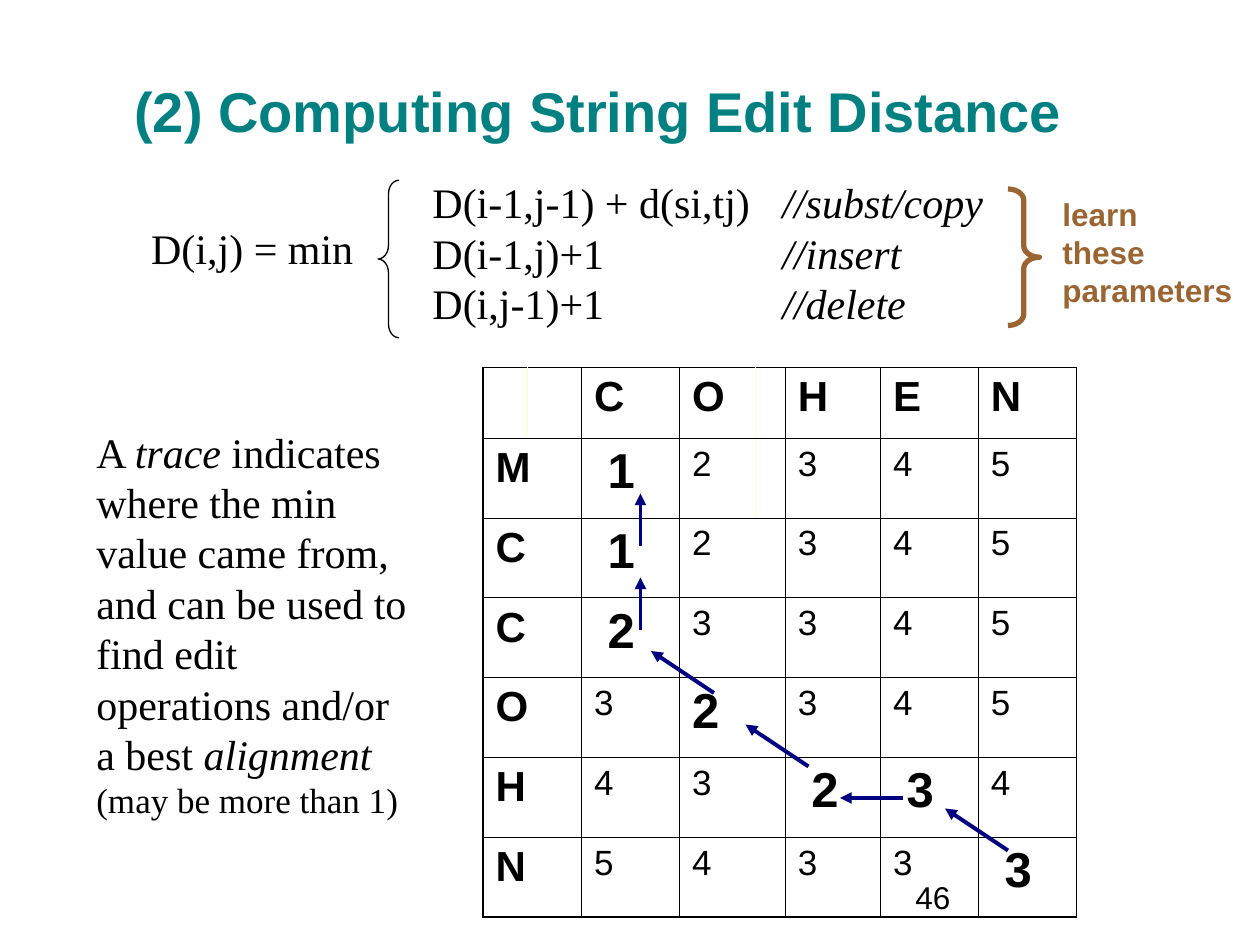
from dataclasses import dataclass

from lxml import etree
from pptx import Presentation
from pptx.dml.color import RGBColor
from pptx.enum.shapes import MSO_CONNECTOR, MSO_SHAPE
from pptx.enum.text import MSO_ANCHOR, PP_ALIGN
from pptx.oxml.ns import qn
from pptx.util import Pt

LEFT, CENTER, RIGHT = PP_ALIGN.LEFT, PP_ALIGN.CENTER, PP_ALIGN.RIGHT
TOP, MIDDLE = MSO_ANCHOR.TOP, MSO_ANCHOR.MIDDLE
STRAIGHT = MSO_CONNECTOR.STRAIGHT
LEFT_BRACE, RIGHT_BRACE = MSO_SHAPE.LEFT_BRACE, MSO_SHAPE.RIGHT_BRACE
SANS, SERIF = "Arial", "Times New Roman"
COLORS = {
    "title": "008080",
    "text": "000000",
    "note": "996633",
    "arrow": "000080",
    "faint": "FFFFCC",
}


@dataclass
class Run:
    text: str
    italic: bool = False
    size: float | None = None


@dataclass
class Brace:
    kind: int
    box: tuple[float, float, float, float]
    curve: float
    color: str
    weight: float


@dataclass
class Arrow:
    start: tuple[float, float]
    end: tuple[float, float]


BRACES = [
    Brace(LEFT_BRACE, (216, 103, 12, 90), 0.65, "text", 0.75),
    Brace(RIGHT_BRACE, (576, 108, 18, 78), 0.36, "note", 3),
]
TRACE_ARROWS = [
    Arrow((576, 486), (540, 462)),
    Arrow((516, 456), (480, 456)),
    Arrow((462, 438), (426, 414)),
    Arrow((408, 396), (372, 372)),
    Arrow((366, 360), (366, 330)),
    Arrow((366, 312), (366, 282)),
]
FORMULA = [
    [Run("D(i-1,j-1) + d(si,tj)\t"), Run("//subst/copy", italic=True)],
    [Run("D(i-1,j)+1\t"), Run("//insert", italic=True)],
    [Run("D(i,j-1)+1\t"), Run("//delete", italic=True)],
]
EXPLANATION = [[
    Run("A "),
    Run("trace ", italic=True),
    Run("indicates where the min value came from, and can be used to "
        "find edit operations and/or a best "),
    Run("alignment ", italic=True),
    Run("(may be more than 1)", size=20),
]]

# Distance grid: first row and column hold the letters
GRID = [" COHEN", "M12345", "C12345", "C23345", "O32345", "H43234", "N54333"]
TRACE = {(1, 1), (2, 1), (3, 1), (4, 2), (5, 3), (5, 4), (6, 5)}
INDENTED = TRACE - {(4, 2)}
COLUMN_WIDTHS = [25.5, 30.8, 56, 43.2, 17.2, 54.4, 56, 56]
GRID_COLUMNS = [0, 2, 3, 5, 6, 7]  # table column of each grid column
SPLIT_ROWS = {0: {0}, 3: {0, 1}}  # rows where a column pair stays unmerged
HEADER_HEIGHT, ROW_HEIGHT = 40.4, 45.6


def rgb(name: str) -> RGBColor:
    return RGBColor.from_string(COLORS[name])


def write_text(frame, paragraphs, *, size=24, font=SERIF, color="text",
               bold=False, align=LEFT, anchor=TOP, wrap=True, tab=None):
    """Fill a text frame with paragraphs, each a string or a list of runs."""
    frame.word_wrap = wrap
    frame.vertical_anchor = anchor
    frame.margin_left = frame.margin_right = Pt(7.2)
    frame.margin_top = frame.margin_bottom = Pt(3.6)
    for index, content in enumerate(paragraphs):
        paragraph = frame.paragraphs[0] if index == 0 else frame.add_paragraph()
        paragraph.alignment = align
        if tab:
            tabs = etree.SubElement(paragraph._p.get_or_add_pPr(), qn("a:tabLst"))
            etree.SubElement(tabs, qn("a:tab"), pos=str(Pt(tab)), algn="l")
        for part in [Run(content)] if isinstance(content, str) else content:
            run = paragraph.add_run()
            run.text = part.text
            run.font.name = font
            run.font.size = Pt(part.size or size)
            run.font.bold = bold
            run.font.italic = part.italic
            run.font.color.rgb = rgb(color)


def add_text(slide, box, paragraphs, **text_format):
    shape = slide.shapes.add_textbox(*map(Pt, box))
    write_text(shape.text_frame, paragraphs, **text_format)


def add_brace(slide, brace: Brace):
    shape = slide.shapes.add_shape(brace.kind, *map(Pt, brace.box))
    shape.shadow.inherit = False
    shape.adjustments[0] = brace.curve
    shape.fill.background()
    shape.line.color.rgb = rgb(brace.color)
    shape.line.width = Pt(brace.weight)


def add_arrow(slide, arrow: Arrow):
    connector = slide.shapes.add_connector(STRAIGHT, *map(Pt, arrow.start + arrow.end))
    connector.line.color.rgb = rgb("arrow")
    connector.line.width = Pt(2.25)
    properties = connector._element.spPr
    etree.SubElement(properties.find(qn("a:ln")), qn("a:tailEnd"), type="triangle")
    etree.SubElement(properties, qn("a:effectLst"))


def set_border(cell, side: str, color: str, weight: float):
    line = etree.SubElement(cell._tc.get_or_add_tcPr(), qn(f"a:ln{side}"),
                            w=str(Pt(weight)))
    fill = etree.SubElement(line, qn("a:solidFill"))
    etree.SubElement(fill, qn("a:srgbClr"), val=COLORS[color])


def add_distance_table(slide, left: float, top: float):
    row_count, column_count = len(GRID), len(COLUMN_WIDTHS)
    height = HEADER_HEIGHT + ROW_HEIGHT * (row_count - 1)
    table = slide.shapes.add_table(row_count, column_count, Pt(left), Pt(top),
                                   Pt(sum(COLUMN_WIDTHS)), Pt(height)).table
    table.first_row = table.horz_banding = False
    for column, width in zip(table.columns, COLUMN_WIDTHS):
        column.width = Pt(width)
    for index, row in enumerate(table.rows):
        row.height = Pt(ROW_HEIGHT if index else HEADER_HEIGHT)

    # Borders: heavier outside, faint between the halves of a split column
    for row in range(row_count):
        for column in range(column_count):
            cell = table.cell(row, column)
            faint_right = row in SPLIT_ROWS.get(column, ())
            faint_left = row in SPLIT_ROWS.get(column - 1, ())
            set_border(cell, "L", "faint" if faint_left else "text",
                       0.45 if column else 1.08)
            set_border(cell, "R", "faint" if faint_right else "text",
                       1.08 if column == column_count - 1 else 0.45)
            set_border(cell, "T", "text", 0.45)
            set_border(cell, "B", "text", 1.08 if row == row_count - 1 else 0.45)
            cell.fill.background()
        for column, split_rows in SPLIT_ROWS.items():
            if row not in split_rows:
                table.cell(row, column).merge(table.cell(row, column + 1))

    # Letters and distances
    for row, values in enumerate(GRID):
        for column, value in enumerate(values):
            if value == " ":
                continue
            is_letter, on_trace = value.isalpha(), (row, column) in TRACE
            cell = table.cell(row, GRID_COLUMNS[column])
            write_text(cell.text_frame, [value], font=SANS,
                       size=24 if is_letter else 28 if on_trace else 20,
                       bold=is_letter or on_trace)
            cell.margin_left = Pt(15 if (row, column) in INDENTED else 7.2)


def main():
    presentation = Presentation()
    presentation.slide_width, presentation.slide_height = Pt(720), Pt(540)
    slide = presentation.slides.add_slide(presentation.slide_layouts[5])

    # Title
    title = slide.shapes.title
    title.left, title.top, title.width, title.height = map(Pt, (36, 30, 612, 66))
    write_text(title.text_frame, ["(2) Computing String Edit Distance"], size=32,
               font=SANS, color="title", bold=True, align=CENTER, anchor=MIDDLE)

    # Recurrence
    for brace in BRACES:
        add_brace(slide, brace)
    add_text(slide, (79, 123.6, 130, 36), ["D(i,j) = min"], align=RIGHT, wrap=False)
    add_text(slide, (240, 97.4, 345, 94), FORMULA, tab=200)
    add_text(slide, (600, 108, 112, 72), ["learn", "these", "parameters"], size=18,
             font=SANS, color="note", bold=True, wrap=False)

    # Distance table with its trace
    add_distance_table(slide, 276, 210)
    add_text(slide, (48, 240, 197, 233), EXPLANATION)
    for arrow in TRACE_ARROWS:
        add_arrow(slide, arrow)

    # Slide number
    add_text(slide, (516, 498, 150, 36), ["46"], size=18, font=SANS)
    presentation.save("out.pptx")


if __name__ == "__main__":
    main()
